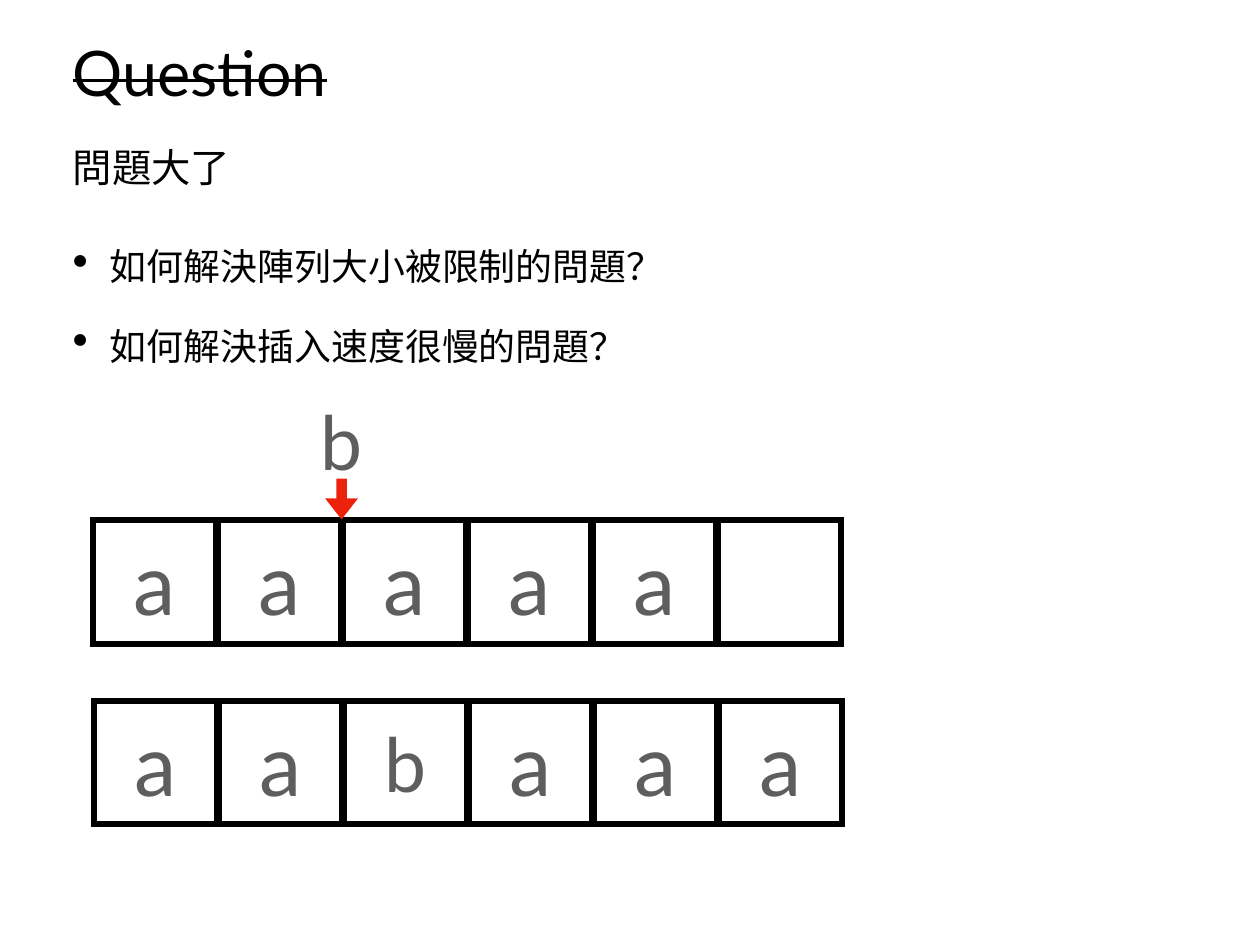
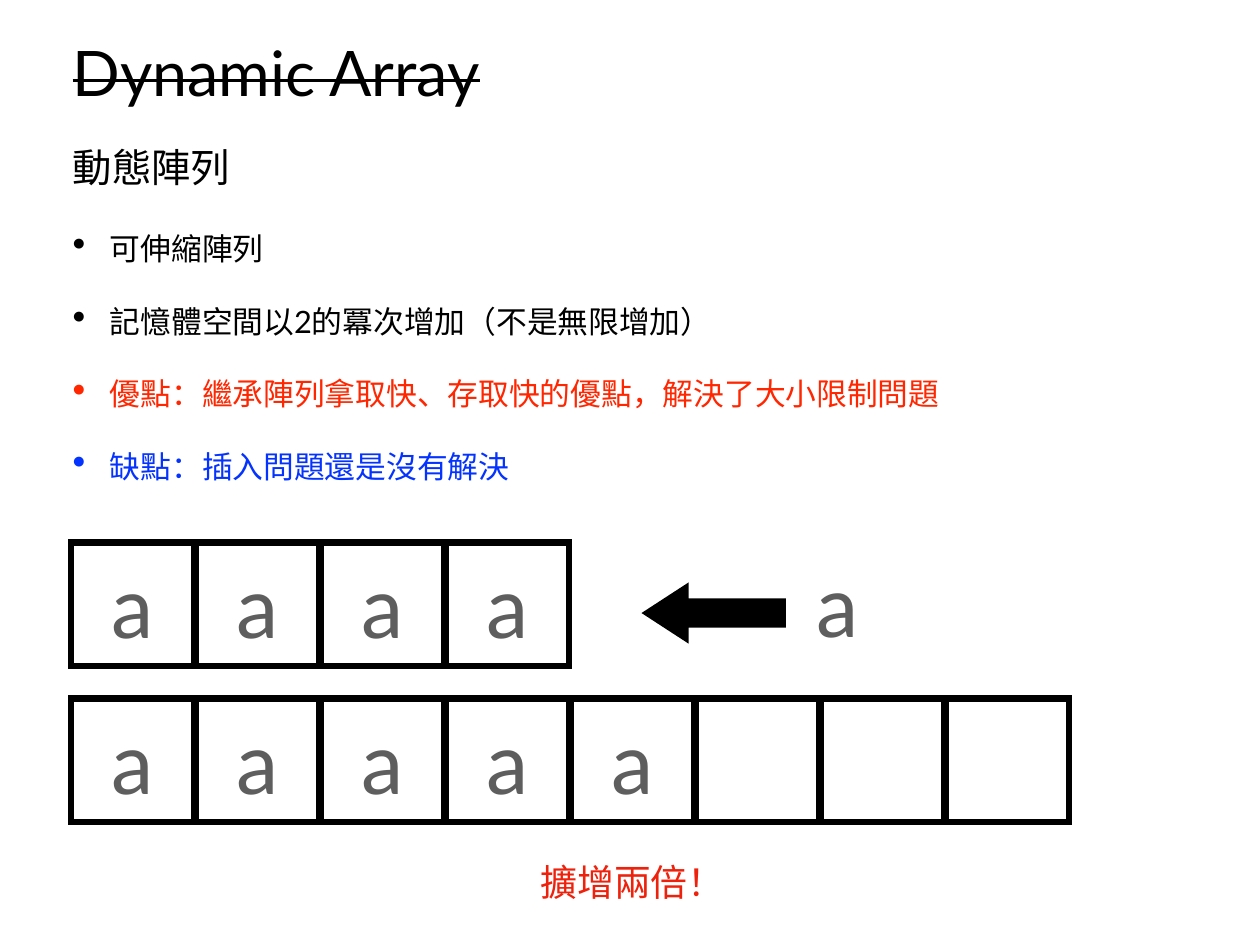
from dataclasses import dataclass

from lxml import etree
from pptx import Presentation
from pptx import util as u
from pptx.dml.color import RGBColor
from pptx.enum import shapes, text
from pptx.oxml import ns

EMU_PER_PX = 9144  # 100 px to the inch


@dataclass(frozen=True)
class Theme:
    font: str = "Lato"
    ink: str = "000000"
    letter: str = "5E5E5E"
    red: str = "FF2600"
    blue: str = "0433FF"
    marker: str = "ED220D"
    note: str = "EE220C"
    title_size: int = 51
    subtitle_size: int = 32
    large_size: int = 30
    list_size: int = 25
    letter_sizes: tuple = (("a", 69), ("b", 61))
    cell_line: int = 5
    inset: int = 6
    left: int = 76
    width: int = 1269
    cell: int = 139
    pitch: int = 141
    indent: int = 42


THEME = Theme()


def px(length):
    return u.Emu(length * EMU_PER_PX)


def box(*lengths):
    return [px(length) for length in lengths]


def colour(value):
    return RGBColor.from_string(value)


def add_child(parent, tag, **attributes):
    return etree.SubElement(parent, ns.qn(tag), attributes)


def add_run(paragraph, wording, size, ink, strike=False):
    run = paragraph.add_run()
    run.text = wording
    run.font.name = THEME.font
    run.font.size = u.Pt(size)
    run.font.color.rgb = colour(ink)
    if strike:
        run.font._element.set("strike", "sngStrike")


def prepare_frame(shape, anchor=text.MSO_ANCHOR.TOP, wrap=True):
    frame = shape.text_frame
    frame.margin_left = frame.margin_right = px(THEME.inset)
    frame.margin_top = frame.margin_bottom = px(THEME.inset)
    frame.vertical_anchor = anchor
    frame.word_wrap = wrap
    return frame


def add_heading(slide, title, subtitle):
    lines = (
        (title, 48, 111, THEME.title_size, 0.8, True),
        (subtitle, 155, 73, THEME.subtitle_size, 1.0, False),
    )
    for wording, top, height, size, spacing, strike in lines:
        shape = slide.shapes.add_textbox(*box(THEME.left, top, THEME.width, height))
        paragraph = prepare_frame(shape).paragraphs[0]
        paragraph.line_spacing = spacing
        add_run(paragraph, wording, size, THEME.ink, strike)


def add_bullet(paragraph, ink):
    properties = paragraph._p.get_or_add_pPr()
    properties.set("marL", str(px(THEME.indent)))
    properties.set("indent", str(px(-THEME.indent)))
    bullet_colour = add_child(properties, "a:buClr")
    add_child(bullet_colour, "a:srgbClr", val=ink)
    add_child(properties, "a:buSzPct", val="123000")
    add_child(properties, "a:buChar", char="•")


def add_bullets(slide, top, height, size, items):
    """Add a bulleted list from (wording, colour) pairs."""
    shape = slide.shapes.add_textbox(*box(THEME.left, top, THEME.width, height))
    frame = prepare_frame(shape)
    for index, (wording, ink) in enumerate(items):
        paragraph = frame.add_paragraph() if index else frame.paragraphs[0]
        add_bullet(paragraph, ink)
        paragraph.line_spacing = 0.9
        if index:
            paragraph.space_before = u.Pt(32)
        add_run(paragraph, wording, size, ink)


def add_centred(shape, wording, size, ink):
    frame = prepare_frame(shape, text.MSO_ANCHOR.MIDDLE, wrap=False)
    paragraph = frame.paragraphs[0]
    paragraph.alignment = text.PP_ALIGN.CENTER
    add_run(paragraph, wording, size, ink)
    return frame


def add_label(slide, bounds, wording, size, ink=THEME.letter):
    shape = slide.shapes.add_textbox(*box(*bounds))
    frame = add_centred(shape, wording, size, ink)
    frame.auto_size = text.MSO_AUTO_SIZE.SHAPE_TO_FIT_TEXT


def add_cell(slide, left, top):
    cell = slide.shapes.add_shape(
        shapes.MSO_SHAPE.RECTANGLE, *box(left, top, THEME.cell, THEME.cell))
    cell.shadow.inherit = False
    cell.fill.background()
    cell.line.color.rgb = colour(THEME.ink)
    cell.line.width = u.Pt(THEME.cell_line)
    add_child(cell.line._get_or_add_ln(), "a:miter", lim="400000")
    return cell


def add_array(slide, left, top, letters, capacity):
    """Draw a row of cells, the first ones filled with the letters."""
    sizes = dict(THEME.letter_sizes)
    for index in range(capacity):
        cell = add_cell(slide, left + index * THEME.pitch, top)
        if index < len(letters):
            letter = letters[index]
            add_centred(cell, letter, sizes[letter], THEME.letter)


def add_arrow(slide, kind, bounds, adjustments, ink):
    arrow = slide.shapes.add_shape(kind, *box(*bounds))
    arrow.shadow.inherit = False
    for index, value in enumerate(adjustments):
        arrow.adjustments[index] = value
    arrow.fill.solid()
    arrow.fill.fore_color.rgb = colour(ink)
    arrow.line.fill.background()


def build_question(slide):
    add_bullets(slide, 275, 192, THEME.large_size, [
        ("如何解決陣列大小被限制的問題？", THEME.ink),
        ("如何解決插入速度很慢的問題？", THEME.ink),
    ])
    add_heading(slide, "Question", "問題大了")
    add_array(slide, 105, 587, "aaaaa", 6)
    add_array(slide, 106, 791, "aabaaa", 6)
    add_arrow(slide, shapes.MSO_SHAPE.DOWN_ARROW, (367, 540, 37, 46),
              (0.32, 0.64), THEME.marker)
    add_label(slide, (354, 440, 63, 113), "b", dict(THEME.letter_sizes)["b"])


def build_dynamic_array(slide):
    add_bullets(slide, 258, 319, THEME.list_size, [
        ("可伸縮陣列", THEME.ink),
        ("記憶體空間以2的冪次增加（不是無限增加）", THEME.ink),
        ("優點：繼承陣列拿取快、存取快的優點，解決了大小限制問題", THEME.red),
        ("缺點：插入問題還是沒有解決", THEME.blue),
    ])
    add_heading(slide, "Dynamic Array", "動態陣列")
    add_array(slide, 80, 612, "aaaa", 4)
    add_arrow(slide, shapes.MSO_SHAPE.LEFT_ARROW, (724, 657, 163, 69),
              (0.48, 0.77), THEME.ink)
    add_label(slide, (913, 618, 65, 126), "a", dict(THEME.letter_sizes)["a"])
    add_array(slide, 80, 788, "aaaaa", 8)
    add_label(slide, (583, 964, 220, 61), "擴增兩倍！", THEME.large_size, THEME.note)


def main():
    presentation = Presentation()
    presentation.slide_width, presentation.slide_height = box(1422, 1066)
    blank = presentation.slide_layouts[6]
    for build in (build_question, build_dynamic_array):
        build(presentation.slides.add_slide(blank))
    presentation.save("out.pptx")


if __name__ == "__main__":
    main()
